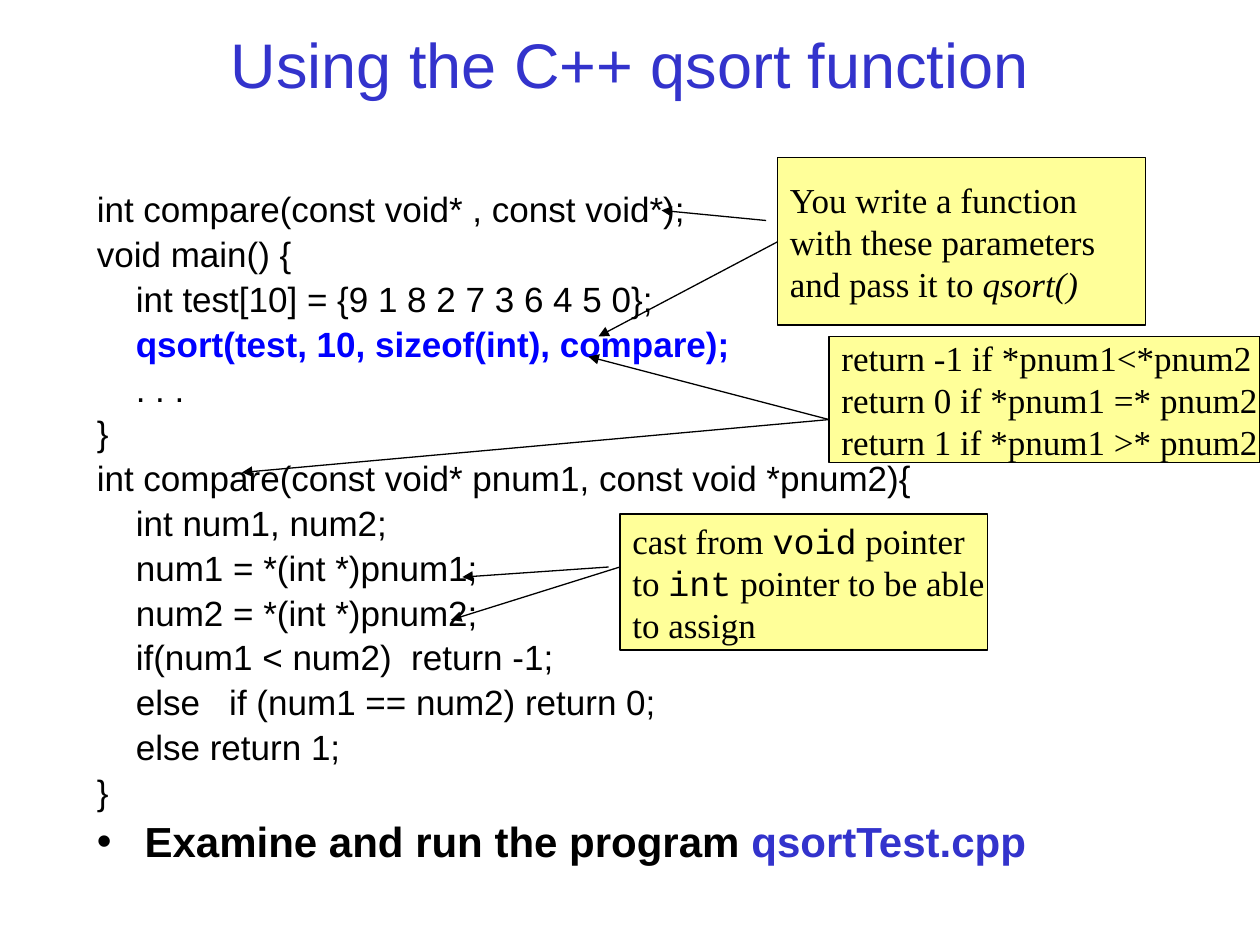
from pptx import Presentation
from pptx.dml.color import RGBColor
from pptx.enum import shapes, text
from pptx.oxml.ns import qn
from pptx.util import Inches, Pt
from lxml import etree

COLORS = {"title": "3333CC", "call": "0000FF", "ink": "000000", "note": "FFFF99", "page": "FFFFFF"}
SANS, SERIF, MONO = "Arial", "Times New Roman", "Courier New"
INDENT, HANGING = 0.31, 0.38
CODE_SIZE, TASK_SIZE = 20, 24

TITLE = "Using the C++ qsort function"
CALL = "qsort(test, 10, sizeof(int), compare);"
CODE = [
    (0, "int compare(const void* , const void*);"),
    (0, "void main() {"),
    (1, "int test[10] = {9 1 8 2 7 3 6 4 5 0};"),
    (1, CALL),
    (1, ". . ."),
    (0, "}"),
    (0, "int compare(const void* pnum1, const void *pnum2){"),
    (1, "int num1, num2;"),
    (1, "num1 = *(int *)pnum1;"),
    (1, "num2 = *(int *)pnum2;"),
    (1, "if(num1 < num2)  return -1;"),
    (1, "else   if (num1 == num2) return 0;"),
    (1, "else return 1;"),
    (0, "}"),
]
TASK = [("Examine and run the program ", "ink"), ("qsortTest.cpp", "title")]
ITALIC, CODE_WORD = {"italic": True}, {"name": MONO}
NOTES = [
    ((6.17, 1.25, 2.92, 1.33),
     [[("You write a function", {})],
      [("with these parameters", {})],
      [("and pass it to ", {}), ("qsort()", ITALIC)]],
     [((6.08, 1.75), (5.25, 1.67)), ((6.17, 1.92), (4.75, 2.67))]),
    ((6.58, 2.67, 3.42, 1),
     [[("return -1 if *pnum1<*pnum2", {})],
      [("return 0 if *pnum1 =* pnum2", {})],
      [("return 1 if *pnum1 >* pnum2", {})]],
     [((6.58, 3.33), (1.92, 3.75)), ((6.58, 3.33), (4.67, 2.83))]),
    ((4.92, 4.08, 2.92, 1.08),
     [[("cast from ", {}), ("void", CODE_WORD), (" pointer", {})],
      [("to ", {}), ("int", CODE_WORD), (" pointer to be able", {})],
      [("to assign", {})]],
     [((4.83, 4.5), (3.67, 4.58)), ((4.92, 4.5), (3.58, 4.92))]),
]


def rgb(key):
    return RGBColor.from_string(COLORS[key])


def apply(target, values):
    for key, value in values.items():
        setattr(target, key, value)


def inches(values):
    return [Inches(value) for value in values]


def fill(target, key):
    target.fill.solid()
    target.fill.fore_color.rgb = rgb(key)


def add_run(paragraph, words, color="ink", **font):
    run = paragraph.add_run()
    run.text = words
    apply(run.font, {"name": SANS, "size": Pt(CODE_SIZE), **font})
    run.font.color.rgb = rgb(color)


def paragraphs(frame):
    yield frame.paragraphs[0]
    while True:
        yield frame.add_paragraph()


def add_arrow(start, end):
    arrow = slide.shapes.add_connector(shapes.MSO_CONNECTOR.STRAIGHT, *inches(start + end))
    arrow.line.width = Pt(0.75)
    arrow.line.color.rgb = rgb("ink")
    etree.SubElement(arrow.line._get_or_add_ln(), qn("a:tailEnd"), type="triangle")
    etree.SubElement(arrow._element.spPr, qn("a:effectLst"))


def add_note(box, lines):
    note = slide.shapes.add_shape(shapes.MSO_SHAPE.RECTANGLE, *inches(box))
    note.shadow.inherit = False
    fill(note, "note")
    note.line.color.rgb = rgb("ink")
    note.line.width = Pt(0.75)
    apply(note.text_frame, {"word_wrap": False, "vertical_anchor": text.MSO_ANCHOR.MIDDLE})
    for runs, paragraph in zip(lines, paragraphs(note.text_frame)):
        paragraph.alignment = text.PP_ALIGN.LEFT
        for words, font in runs:
            add_run(paragraph, words, **{"name": SERIF, **font})


def space(paragraph, size):
    apply(paragraph, {"line_spacing": 0.9, "space_before": Pt(size * 0.2)})


deck = Presentation()
apply(deck, {"slide_width": Inches(10), "slide_height": Inches(7.5)})
slide = deck.slides.add_slide(deck.slide_layouts[5])
fill(slide.background, "page")

title = slide.shapes.title
apply(title, dict(zip(("left", "top", "width", "height"), inches((0.75, 0, 8.5, 1)))))
title.text_frame.vertical_anchor = text.MSO_ANCHOR.MIDDLE
heading = title.text_frame.paragraphs[0]
heading.alignment = text.PP_ALIGN.CENTER
add_run(heading, TITLE, "title", size=Pt(36))

panel = slide.shapes.add_textbox(*inches((0.67, 1.08, 8.5, 6)))
fill(panel, "page")
program = panel.text_frame
apply(program, {"word_wrap": True, "margin_top": Inches(0.45)})
for (level, words), paragraph in zip(CODE, paragraphs(program)):
    space(paragraph, CODE_SIZE)
    paragraph._p.get_or_add_pPr().set("marL", str(Inches(INDENT * level)))
    is_call = words == CALL
    add_run(paragraph, words, "call" if is_call else "ink", bold=is_call)

task = program.add_paragraph()
space(task, TASK_SIZE)
layout = task._p.get_or_add_pPr()
layout.set("marL", str(Inches(HANGING)))
layout.set("indent", str(-Inches(HANGING)))
etree.SubElement(layout, qn("a:buFont"), typeface=SANS)
etree.SubElement(layout, qn("a:buChar"), char="•")
for words, color in TASK:
    add_run(task, words, color, size=Pt(TASK_SIZE), bold=True)

for box, lines, arrows in NOTES:
    add_note(box, lines)
    for start, end in arrows:
        add_arrow(start, end)

deck.save("out.pptx")
